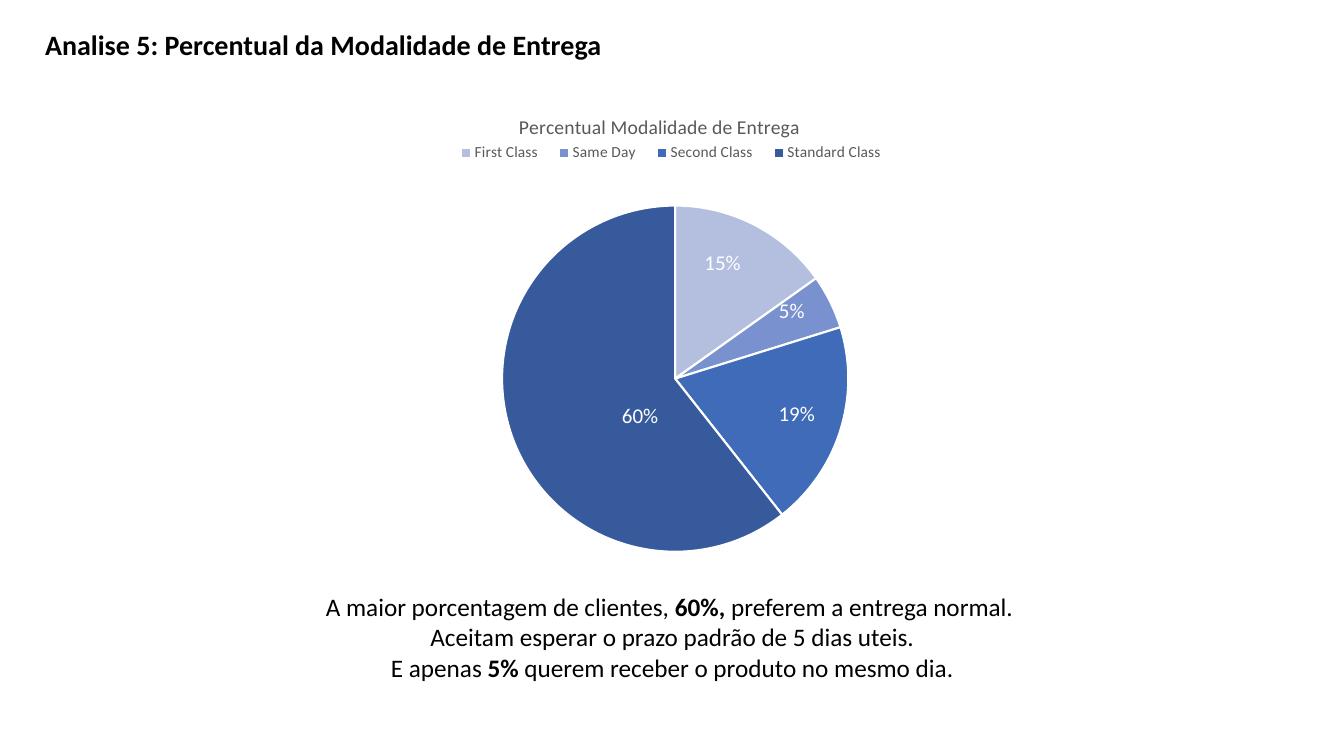
from lxml import etree
from pptx import Presentation
from pptx.chart.data import CategoryChartData
from pptx.dml.color import RGBColor
from pptx.enum import chart as chart_enum, text as text_enum
from pptx.oxml import ns
from pptx.util import Pt

FONT = "Calibri"
COLOURS = {"text": "000000", "muted": "595959", "white": "FFFFFF"}
DELIVERIES = [
    ("First Class", 0.15, "B4BEDF", (0.01, -0.08)),
    ("Same Day", 0.05, "7991CE", (0.05, -0.06)),
    ("Second Class", 0.19, "406BB8", (0.05, 0.02)),
    ("Standard Class", 0.6, "365A9B", (0.06, 0.02)),
]
FINDINGS = [
    [("A maior porcentagem de clientes, ", False), ("60%, ", True),
     ("preferem a entrega normal. ", False)],
    [("Aceitam esperar o prazo padrão de 5 dias uteis.", False)],
    [("E apenas ", False), ("5%", True),
     (" querem receber o produto no mesmo dia.", False)],
]


def format_font(font, size, colour, bold=False):
    """Set the family, size, colour and weight of a font."""
    font.name, font.size, font.bold = FONT, Pt(size), bold
    font.color.rgb = RGBColor.from_string(COLOURS[colour])


def add_text(paragraph, text, size=18, colour="text", bold=False):
    """Append a formatted run to a paragraph."""
    run = paragraph.add_run()
    run.text = text
    format_font(run.font, size, colour, bold)


def set_layout(parent, previous, **values):
    """Give a chart part a manual layout, placed after the named child."""
    for layout in parent.findall(ns.qn("c:layout")):
        parent.remove(layout)
    layout = etree.Element(ns.qn("c:layout"))
    manual = etree.SubElement(layout, ns.qn("c:manualLayout"))
    for name, value in values.items():
        etree.SubElement(manual, ns.qn(f"c:{name}")).set("val", str(value))
    if previous is None:
        parent.insert(0, layout)
    else:
        parent.find(ns.qn(previous)).addnext(layout)


def place_title(slide, left, top, width, height):
    """Place the slide heading in its placeholder."""
    title = slide.shapes.title
    title.left, title.top, title.width, title.height = map(Pt, (left, top, width, height))
    frame = title.text_frame
    frame.word_wrap = False
    frame.auto_size = text_enum.MSO_AUTO_SIZE.NONE
    frame.vertical_anchor = text_enum.MSO_ANCHOR.TOP
    paragraph = frame.paragraphs[0]
    paragraph.alignment = text_enum.PP_ALIGN.LEFT
    add_text(paragraph, "Analise 5: Percentual da Modalidade de Entrega", size=20, bold=True)


def place_chart(slide, left, top, width, height):
    """Draw the pie of delivery classes with its title and legend."""
    data = CategoryChartData(number_format="0%")
    data.categories = [name for name, *_ in DELIVERIES]
    data.add_series("Series 1", [share for _, share, *_ in DELIVERIES])
    chart = slide.shapes.add_chart(
        chart_enum.XL_CHART_TYPE.PIE, *map(Pt, (left, top, width, height)), data).chart
    format_font(chart.font, 10, "text")

    add_text(chart.chart_title.text_frame.paragraphs[0],
             "Percentual Modalidade de Entrega", size=14, colour="muted")
    chart.chart_title.include_in_layout = False
    set_layout(chart.chart_title._element, "c:tx", xMode="edge", yMode="edge", x=0.3, y=0.05)

    chart.has_legend = True
    legend = chart.legend
    legend.position = chart_enum.XL_LEGEND_POSITION.TOP
    legend.include_in_layout = False
    format_font(legend.font, 11, "muted")
    set_layout(legend._element, "c:legendPos",
               xMode="edge", yMode="edge", x=0.21, y=0.11, w=0.58, h=0.06)

    plot = chart.plots[0]
    plot.vary_by_categories = True
    set_layout(plot._element.getparent(), None, layoutTarget="inner",
               xMode="edge", yMode="edge", x=0.28, y=0.25, w=0.45, h=0.72)
    plot.has_data_labels = True
    labels = plot.data_labels
    labels.show_value, labels.show_percentage = True, False
    labels.number_format, labels.number_format_is_linked = "0%", False
    labels.position = chart_enum.XL_LABEL_POSITION.CENTER
    format_font(labels.font, 15, "white")

    series = plot.series[0]
    for index, (_, _, colour, (shift_x, shift_y)) in enumerate(DELIVERIES):
        point = series.points[index]
        point.format.fill.solid()
        point.format.fill.fore_color.rgb = RGBColor.from_string(colour)
        point.format.line.color.rgb = RGBColor.from_string(COLOURS["white"])
        point.format.line.width = Pt(1.5)
        format_font(point.data_label.font, 15, "white")
        point.data_label.position = chart_enum.XL_LABEL_POSITION.CENTER
        label = series.data_labels._element.findall(ns.qn("c:dLbl"))[index]
        set_layout(label, "c:idx", x=shift_x, y=shift_y)


def place_findings(slide, left, top, width, height):
    """Write the centred conclusions under the chart."""
    frame = slide.shapes.add_textbox(*map(Pt, (left, top, width, height))).text_frame
    frame.word_wrap = False
    frame.auto_size = text_enum.MSO_AUTO_SIZE.SHAPE_TO_FIT_TEXT
    for index, parts in enumerate(FINDINGS):
        paragraph = frame.add_paragraph() if index else frame.paragraphs[0]
        paragraph.alignment = text_enum.PP_ALIGN.CENTER
        for text, bold in parts:
            add_text(paragraph, text, bold=bold)


def main():
    """Build and save the presentation."""
    presentation = Presentation()
    presentation.slide_width, presentation.slide_height = Pt(960), Pt(540)
    slide = presentation.slides.add_slide(presentation.slide_layouts[5])
    place_chart(slide, 201, 61, 557, 343.5)
    place_title(slide, 25, 16, 420, 31.5)
    place_findings(slide, 222.5, 419, 515.5, 72.7)
    presentation.save("out.pptx")


if __name__ == "__main__":
    main()
